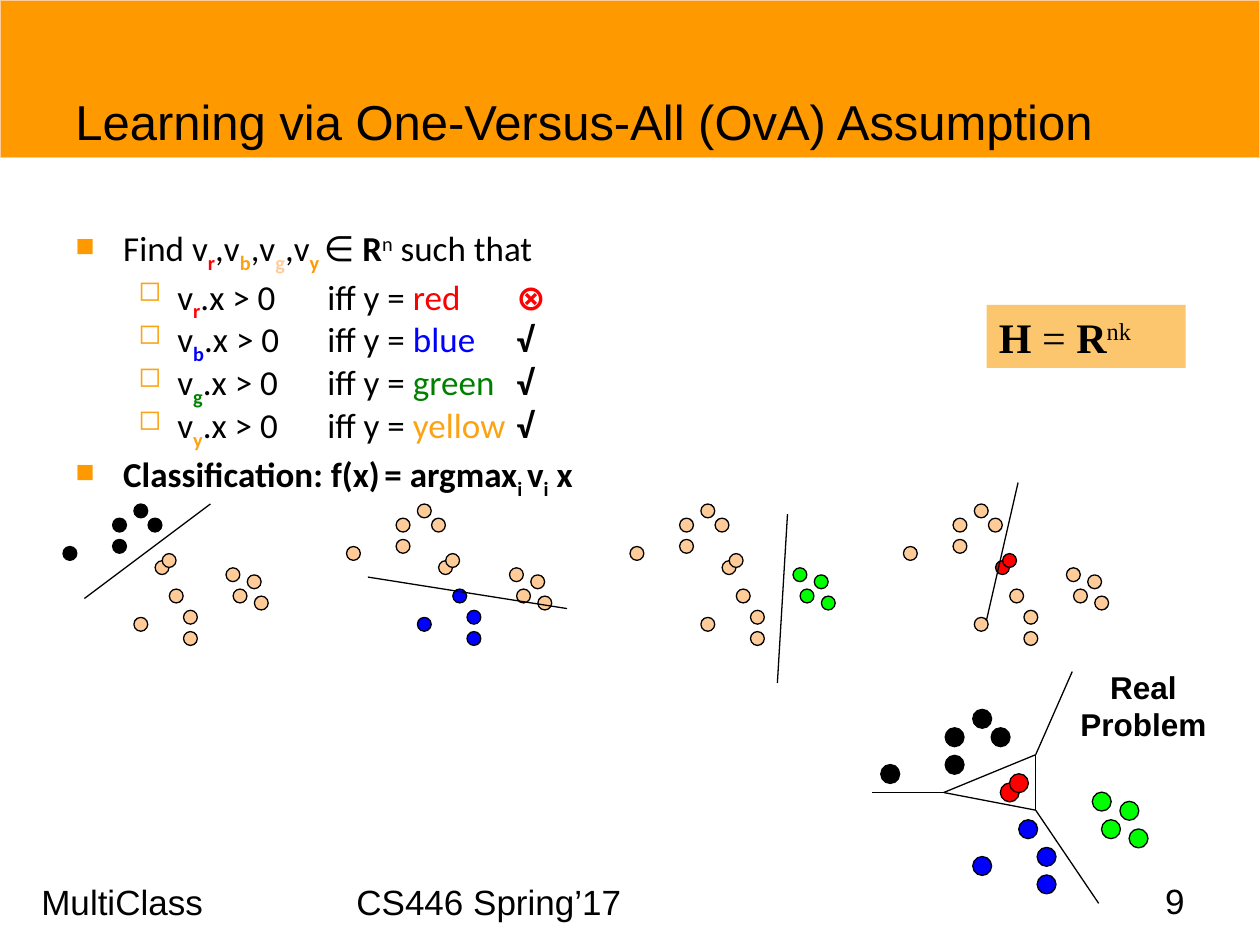
"""Build the slide on one-versus-all learning with its separator diagrams."""
import pptx
import pptx.dml.color
import pptx.enum.shapes
import pptx.enum.text
import pptx.oxml
import pptx.oxml.ns
import pptx.util

SLIDE_WIDTH, SLIDE_HEIGHT = 10, 7.5
THEME = {
    "band": "FF9900", "peach": "FFCC99", "amber": "FBA313", "panel": "FCC66E",
    "ink": "000000", "red": "FF0000", "blue": "0000FF", "green": "008000", "lime": "00FF00",
    "sans": "Arial", "body": "Calibri", "serif": "Times New Roman",
    "title_size": 28, "formula_size": 24, "text_size": 20, "label_size": 18, "thin_size": 11,
    "hairline": 0.75,
}
SUB, SUPER = -25, 30
ALIGN = pptx.enum.text.PP_ALIGN
ANCHOR = pptx.enum.text.MSO_ANCHOR
SHAPE = pptx.enum.shapes.MSO_SHAPE

TITLE = "Learning via One-Versus-All (OvA) Assumption"
FOOTER = "MultiClass\t\t\tCS446 Spring’17"
PAGE_NUMBER = "9"
DIAGRAM_LABEL = "Real Problem"


def subscript(letter, color):
    return letter, {"color": color, "bold": True, "base": SUB}


BOLD = {"bold": True}
BOLD_SUB = {"bold": True, "base": SUB}
GOAL = [
    "Find v", subscript("r", "red"), ",v", subscript("b", "amber"), ",v",
    subscript("g", "peach"), ",v", subscript("y ", "band"), "∈ ",
    ("R", BOLD), ("n", {"base": SUPER}), " such that",
]
CONDITIONS = [
    ("r", "red", "red", "⊗", "red"),
    ("b", "blue", "blue", "√", "ink"),
    ("g", "green", "green", "√", "ink"),
    ("y", "yellow", "amber", "√", "ink"),
]
CLASSIFICATION = [
    ("Classification: f(x)", BOLD), (" ", {"bold": True, "size": "thin_size"}),
    ("= argmax", BOLD), ("i ", BOLD_SUB), ("v", BOLD), ("i", BOLD_SUB), (" x", BOLD),
]
HYPOTHESIS_SPACE = [("H", BOLD), " = ", ("R", BOLD), ("nk", {"base": SUPER})]

CLUSTERS = {
    "ink": [(7, 2), (10, 0), (12, 2), (7, 5), (0, 6)],
    "blue": [(10, 16), (15, 12), (17, 15), (17, 18)],
    "lime": [(24, 12), (26, 10), (27, 13), (23, 9)],
    "red": [(13, 8), (14, 7)],
}
PANELS = [
    (0.5, "ink", ((1.67, 4), (0.67, 4.75))),
    (2.75, "blue", ((2.92, 4.58), (4.5, 4.83))),
    (5, "lime", ((6.25, 4.08), (6.17, 5.42))),
    (7.17, "red", ((8.08, 3.83), (7.83, 4.92))),
]
WEST, NORTH, SOUTH = (7.49, 6.29), (8.22, 5.99), (8.22, 6.43)
BOUNDARIES = [(NORTH, WEST), (WEST, SOUTH), (SOUTH, NORTH),
              (NORTH, (8.51, 5.33)), (SOUTH, (8.72, 7.17)), (WEST, (6.92, 6.29))]


def inches(*lengths):
    return [pptx.util.Inches(length) for length in lengths]


def rgb(color):
    return pptx.dml.color.RGBColor.from_string(THEME[color])


def add_text(frame, runs, size="text_size", font="sans", color="ink", bold=False,
             align=ALIGN.LEFT, before=0, spacing=None, bullet=None, first=True):
    paragraph = frame.paragraphs[0] if first else frame.add_paragraph()
    paragraph.alignment = align
    paragraph.space_before = pptx.util.Pt(before)
    if spacing:
        paragraph.line_spacing = spacing
    if bullet:
        mark, mark_color, percent, margin, hanging = bullet
        properties = paragraph._p.get_or_add_pPr()
        properties.set("marL", str(pptx.util.Inches(margin)))
        properties.set("indent", str(-pptx.util.Inches(hanging)))
        namespace = pptx.oxml.ns.nsdecls("a")
        for element in (
            f'<a:buClr {namespace}><a:srgbClr val="{THEME[mark_color]}"/></a:buClr>',
            f'<a:buSzPct {namespace} val="{percent * 1000}"/>',
            f'<a:buChar {namespace} char="{mark}"/>',
        ):
            properties.append(pptx.oxml.parse_xml(element))
    for part in [runs] if isinstance(runs, str) else runs:
        words, style = (part, {}) if isinstance(part, str) else part
        run = paragraph.add_run()
        run.text = words
        run.font.name = THEME[font]
        run.font.size = pptx.util.Pt(THEME[style.get("size", size)])
        run.font.bold = style.get("bold", bold)
        run.font.color.rgb = rgb(style.get("color", color))
        if "base" in style:
            run.font._element.set("baseline", str(style["base"] * 1000))


def text_area(shapes, box, anchor=ANCHOR.TOP):
    frame = shapes.add_textbox(*inches(*box)).text_frame
    frame.word_wrap = True
    frame.vertical_anchor = anchor
    return frame


def add_filled(shapes, kind, box, fill, outline=None):
    shape = shapes.add_shape(kind, *inches(*box))
    shape.shadow.inherit = False
    shape.fill.solid()
    shape.fill.fore_color.rgb = rgb(fill)
    if outline:
        shape.line.color.rgb = rgb(outline)
        shape.line.width = pptx.util.Pt(THEME["hairline"])
    else:
        shape.line.fill.background()
    return shape


def add_line(shapes, start, end):
    line = shapes.add_connector(pptx.enum.shapes.MSO_CONNECTOR.STRAIGHT, *inches(*start, *end))
    line.line.color.rgb = rgb("ink")
    line.line.width = pptx.util.Pt(THEME["hairline"])
    line._element.spPr.append(
        pptx.oxml.parse_xml(f'<a:effectLst {pptx.oxml.ns.nsdecls("a")}/>'))


def add_clusters(shapes, left, top, step, diameter, highlighted):
    for color, points in CLUSTERS.items():
        fill = color if color in highlighted else "peach"
        for column, row in points:
            box = (left + column * step, top + row * step, diameter, diameter)
            add_filled(shapes, SHAPE.OVAL, box, fill, "ink")


def main():
    deck = pptx.Presentation()
    deck.slide_width, deck.slide_height = inches(SLIDE_WIDTH, SLIDE_HEIGHT)
    shapes = deck.slides.add_slide(deck.slide_layouts[6]).shapes

    add_text(text_area(shapes, (0.23, 6.94, 9.6, 0.56)), FOOTER, before=4)
    add_text(text_area(shapes, (7.17, 6.95, 2.33, 0.4), ANCHOR.MIDDLE), PAGE_NUMBER,
             align=ALIGN.RIGHT)
    add_filled(shapes, SHAPE.RECTANGLE, (0, 0, SLIDE_WIDTH, SLIDE_HEIGHT / 6), "band", "peach")
    add_text(text_area(shapes, (0.5, 0.42, 9, 1.08), ANCHOR.MIDDLE), TITLE, size="title_size")

    body = text_area(shapes, (0.5, 1.75, 9, 3.33))
    main_bullet = ("■", "band", 75, 0.38, 0.38)
    add_text(body, GOAL, font="body", before=4, bullet=main_bullet)
    for letter, label, color, mark, mark_color in CONDITIONS:
        condition = ["v", subscript(letter, color), ".x > 0 \tiff y = ",
                     (label + "\t", {"color": color}),
                     (mark, {"color": mark_color, "bold": True})]
        add_text(body, condition, font="body", before=4, spacing=0.75,
                 bullet=("◻", "amber", 80, 0.81, 0.31), first=False)
    add_text(body, CLASSIFICATION, font="body", before=4, bullet=main_bullet, first=False)

    formula = add_filled(shapes, SHAPE.RECTANGLE, (7.83, 2.42, 1.58, 0.5), "panel")
    add_text(formula.text_frame, HYPOTHESIS_SPACE, size="formula_size", font="serif")

    for left, highlighted, separator in PANELS:
        add_clusters(shapes, left, 4, 0.9 / 16, 0.11, [highlighted])
        add_line(shapes, *separator)

    diagram = shapes.add_group_shape().shapes
    for boundary in BOUNDARIES:
        add_line(diagram, *boundary)
    add_clusters(diagram, 6.99, 5.63, 0.073, 0.15, CLUSTERS)
    add_text(text_area(shapes, (8.33, 5.25, 1.49, 0.7)), DIAGRAM_LABEL,
             size="label_size", bold=True, align=ALIGN.CENTER)
    deck.save("out.pptx")


if __name__ == "__main__":
    main()
